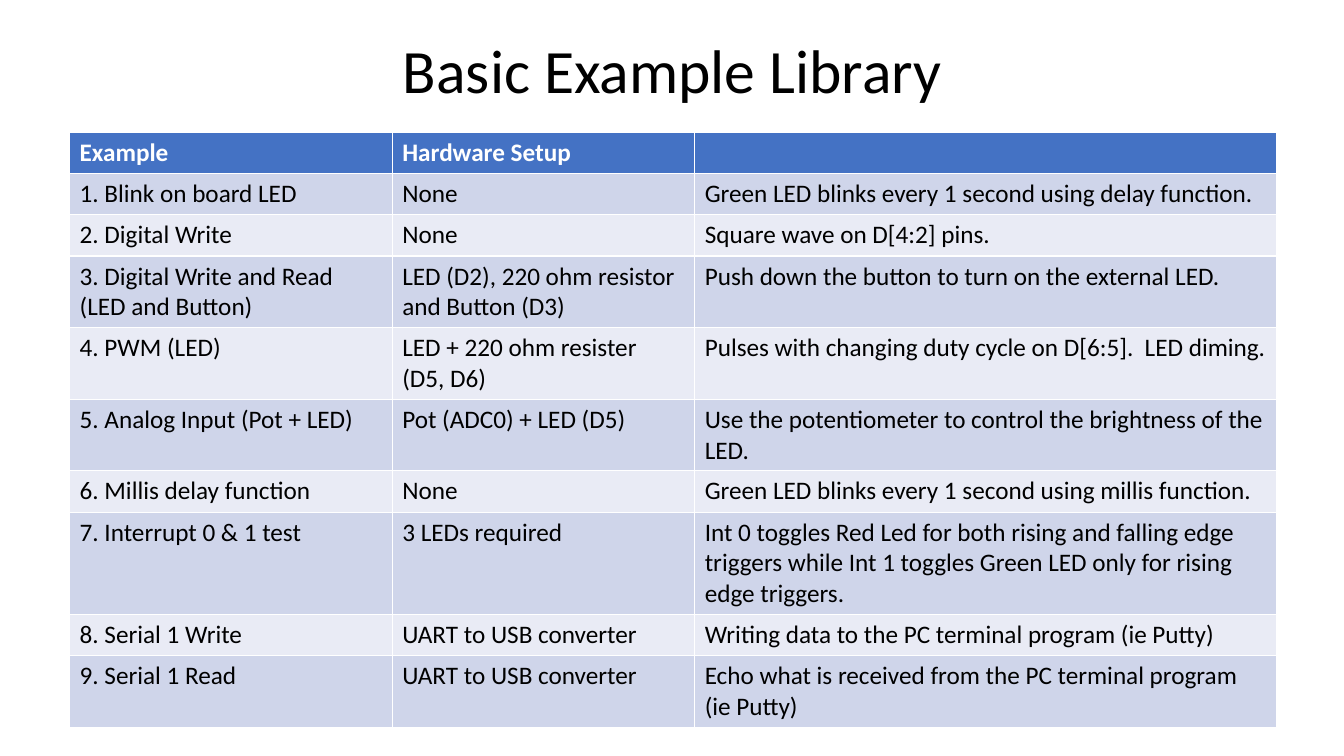
from pptx import Presentation
from pptx.dml.color import RGBColor
from pptx.enum import text
from pptx.util import Inches, Pt

TITLE = "Basic Example Library"
FONT = "Calibri"
HEAD, BANDS = "4472C4", ("E9EBF5", "CFD5EA")
COLS = (3.2, 3, 5.77)
ROW = 0.41
ROWS = [
    ("Example", "Hardware Setup", ""),
    ("1. Blink on board LED", "None",
     "Green LED blinks every 1 second using delay function."),
    ("2. Digital Write", "None", "Square wave on D[4:2] pins."),
    ("3. Digital Write and Read (LED and Button)",
     "LED (D2), 220 ohm resistor and Button (D3)",
     "Push down the button to turn on the external LED."),
    ("4. PWM (LED)", "LED + 220 ohm resister (D5, D6)",
     "Pulses with changing duty cycle on D[6:5].  LED diming."),
    ("5. Analog Input (Pot + LED)", "Pot (ADC0) + LED (D5)",
     "Use the potentiometer to control the brightness of the LED."),
    ("6. Millis delay function", "None",
     "Green LED blinks every 1 second using millis function."),
    ("7. Interrupt 0 & 1 test", "3 LEDs required",
     "Int 0 toggles Red Led for both rising and falling edge triggers "
     "while Int 1 toggles Green LED only for rising edge triggers."),
    ("8. Serial 1 Write", "UART to USB converter",
     "Writing data to the PC terminal program (ie Putty)"),
    ("9. Serial 1 Read", "UART to USB converter",
     "Echo what is received from the PC terminal program (ie Putty)"),
]


def color(hue):
    return RGBColor.from_string(hue)


def style(para, size, hue, bold=False):
    font = para.font
    font.name, font.size, font.bold = FONT, Pt(size), bold
    font.color.rgb = color(hue)


def add_title(slide):
    title = slide.shapes.title
    title.left, title.top = Inches(0.92), Inches(0)
    title.width, title.height = Inches(11.5), Inches(1.45)
    frame = title.text_frame
    frame.text = TITLE
    frame.vertical_anchor = text.MSO_ANCHOR.MIDDLE
    para = frame.paragraphs[0]
    para.alignment = text.PP_ALIGN.CENTER
    para.line_spacing = 0.9
    style(para, 44, "000000")


def add_grid(slide):
    grid = slide.shapes.add_table(
        len(ROWS), len(COLS), Inches(0.69), Inches(1.31),
        Inches(sum(COLS)), Inches(ROW * len(ROWS))).table
    for col, width in zip(grid.columns, COLS):
        col.width = Inches(width)
    for r, row in enumerate(ROWS):
        grid.rows[r].height = Inches(ROW)
        for c, words in enumerate(row):
            cell = grid.cell(r, c)
            cell.text = words
            cell.fill.solid()
            cell.fill.fore_color.rgb = color(BANDS[r % 2] if r else HEAD)
            style(cell.text_frame.paragraphs[0], 18,
                  "000000" if r else "FFFFFF", r == 0)


def main():
    deck = Presentation()
    deck.slide_width, deck.slide_height = Inches(13.33), Inches(7.5)
    slide = deck.slides.add_slide(deck.slide_layouts[5])
    add_title(slide)
    add_grid(slide)
    deck.save("out.pptx")


if __name__ == "__main__":
    main()
